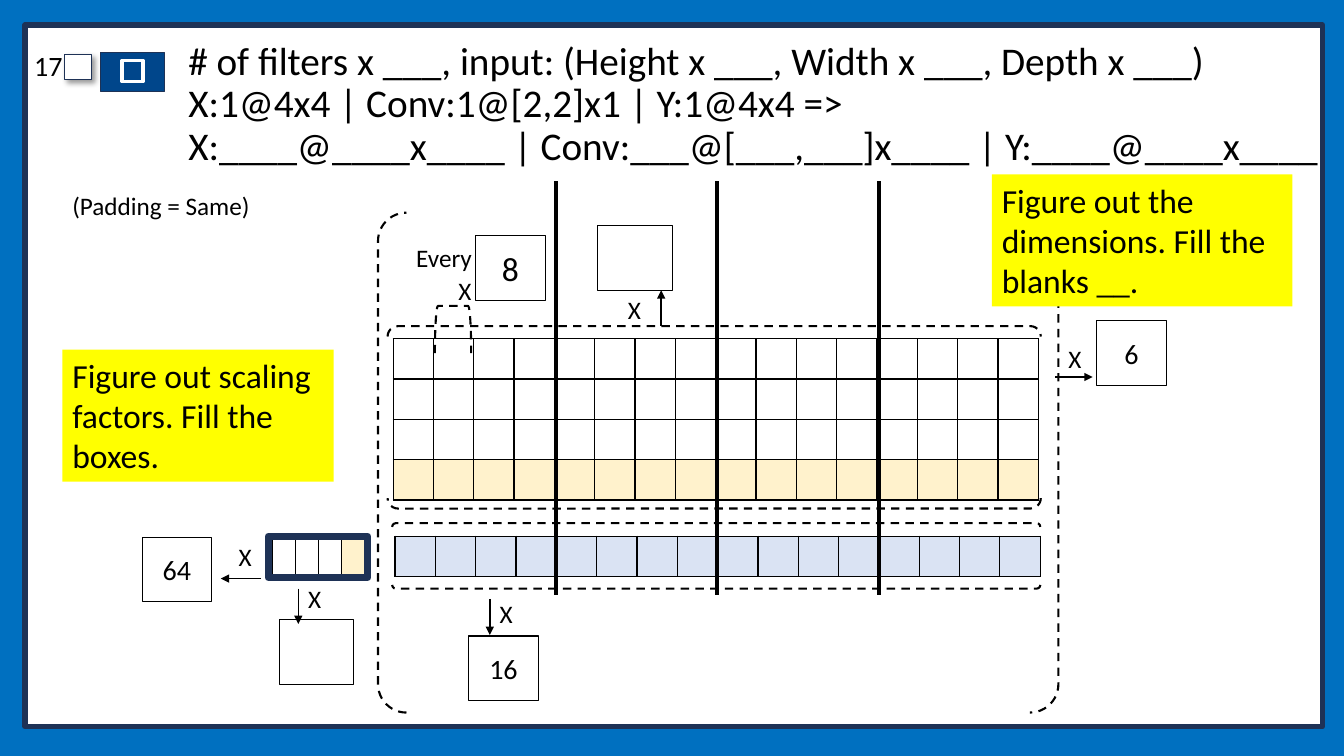
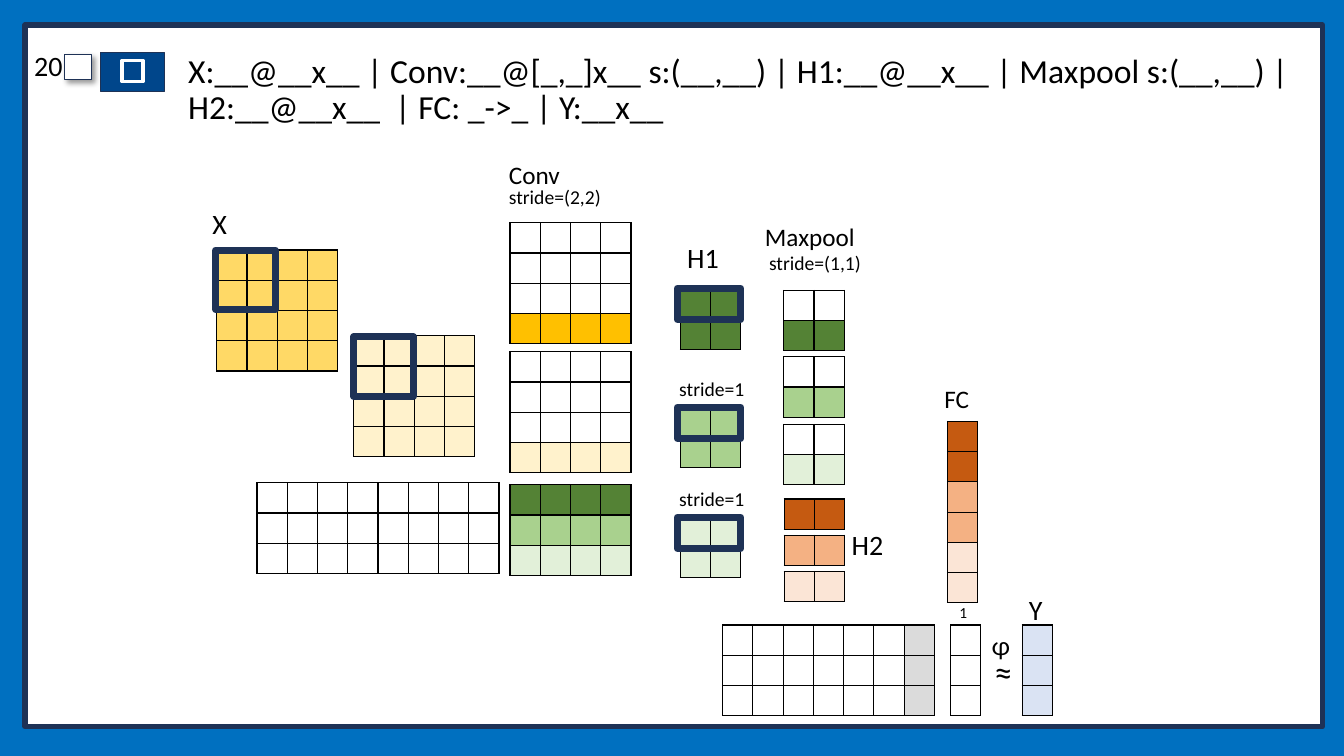
"""Builds two exercise slides on convolution dimensions."""
from lxml.etree import SubElement
from pptx import Presentation
from pptx.dml.color import RGBColor
from pptx.enum.dml import MSO_LINE
from pptx.enum.shapes import MSO_CONNECTOR, MSO_SHAPE
from pptx.enum.text import MSO_ANCHOR, PP_ALIGN
from pptx.oxml.ns import qn
from pptx.util import Pt

INK = {
    "black": "000000", "white": "FFFFFF", "blue": "0070C0", "navy": "1E3256",
    "badge": "00468B", "yellow": "FFFF00", "cream": "FFF2CC", "sand": "FFD966",
    "gold": "FFC000", "sky": "DAE3F3", "gray": "DBDBDB",
    "forest": "548235", "leaf": "A9D18E", "mint": "E2F0D9",
    "rust": "C55A11", "peach": "F4B183", "blush": "FBE5D6",
}
RECT = MSO_SHAPE.RECTANGLE
CELL = 21.6


def box(page, spot, text="", size=18, fill=None, edge=None, width=1, kind=None, font="Calibri"):
    spot = [Pt(n) for n in spot]
    if kind is None:
        shape = page.shapes.add_textbox(*spot)
    else:
        shape = page.shapes.add_shape(kind, *spot)
        shape.shadow.inherit = False
    if fill:
        shape.fill.solid()
        shape.fill.fore_color.rgb = RGBColor.from_string(INK[fill])
    else:
        shape.fill.background()
    if edge:
        shape.line.color.rgb = RGBColor.from_string(INK[edge])
        shape.line.width = Pt(width)
    else:
        shape.line.fill.background()
    frame = shape.text_frame
    frame.word_wrap = True
    frame.vertical_anchor = MSO_ANCHOR.MIDDLE if kind else MSO_ANCHOR.TOP
    if text:
        frame.text = text
        for para in frame.paragraphs:
            para.alignment = PP_ALIGN.CENTER if kind else PP_ALIGN.LEFT
            for run in para.runs:
                run.font.name = font
                run.font.size = Pt(size)
                run.font.color.rgb = RGBColor.from_string(INK["black"])
    return shape


def grid(page, x, y, rows, wide=CELL, high=CELL):
    count, span = len(rows), len(rows[0])
    table = page.shapes.add_table(
        count, span, Pt(x), Pt(y), Pt(wide * span), Pt(high * count)).table
    table.first_row = table.horz_banding = False
    for col in table.columns:
        col.width = Pt(wide)
    for row, fills in zip(table.rows, rows):
        row.height = Pt(high)
        for cell, fill in zip(row.cells, fills):
            cell.margin_left = cell.margin_right = cell.margin_top = cell.margin_bottom = 0
            SubElement(cell.text_frame.paragraphs[0]._p, qn("a:endParaRPr"), sz="600")
            props = cell._tc.get_or_add_tcPr()
            for side in ("a:lnL", "a:lnR", "a:lnT", "a:lnB"):
                line = SubElement(props, qn(side), w=str(Pt(1)))
                SubElement(SubElement(line, qn("a:solidFill")), qn("a:srgbClr"), val=INK["black"])
            if fill:
                cell.fill.solid()
                cell.fill.fore_color.rgb = RGBColor.from_string(INK[fill])
            else:
                cell.fill.background()


deck = Presentation()
deck.slide_width, deck.slide_height = Pt(960), Pt(540)
back = deck.slide_master.background.fill
back.solid()
back.fore_color.rgb = RGBColor.from_string(INK["blue"])

titles = [
    ("17", 28, 92.4, "# of filters x ___, input: (Height x ___, Width x ___, Depth x ___)\n"
     "X:1@4x4 | Conv:1@[2,2]x1 | Y:1@4x4 =>\n"
     "X:____@____x____ | Conv:___@[___,___]x____ | Y:____@____x____"),
    ("20", 24, 72, "X:__@__x__ | Conv:__@[_,_]x__ s:(__,__) | H1:__@__x__ | "
     "Maxpool s:(__,__) | H2:__@__x__  | FC: _->_ | Y:__x__"),
]
pages = []
for num, size, high, text in titles:
    page = deck.slides.add_slide(deck.slide_layouts[6])
    pages.append(page)
    box(page, (18, 18, 926.6, 501), fill="white", edge="navy", width=4, kind=RECT)
    box(page, (72, 37.4, 45.4, 28.1), fill="badge", edge="navy", kind=RECT)
    box(page, (87.1, 43.2, 15.1, 15.1), fill="badge", edge="white", width=2.5, kind=RECT)
    tick = box(page, (46, 38.9, 19.4, 18), fill="white", edge="navy", kind=RECT)
    glow = SubElement(tick._element.spPr.find(qn("a:effectLst")), qn("a:outerShdw"),
                      blurRad=str(Pt(4)), dist=str(Pt(3)), dir="2700000")
    tint = SubElement(glow, qn("a:srgbClr"), val=INK["black"])
    SubElement(tint, qn("a:alpha"), val="40000")
    mark = box(page, (0, 33.8, 51.8, 32.4), num, 20).text_frame.paragraphs[0]
    mark.alignment = PP_ALIGN.RIGHT
    mark.line_spacing = 0.9
    frame = box(page, (127.4, 28.8, 832, high) if size == 28 else (127.4, 28.8, 811.4, high),
                text, size).text_frame
    frame.vertical_anchor = MSO_ANCHOR.MIDDLE
    for para in frame.paragraphs:
        para.line_spacing = 0.9

page, net = pages

grid(page, 280.8, 241.9, [[None] * 16] * 3 + [["cream"] * 16], 28.8, 28.8)
grid(page, 282.2, 383, [["sky"] * 16], 28.8, 28.8)
grid(page, 194.4, 383.8, [[None] * 3 + ["cream"]], 16.6, 28.8)
box(page, (191.5, 383, 71.3, 29.5), edge="navy", width=5, kind=RECT)

lines = [(x, 129.6, x, 424.8, 3) for x in (397.4, 511.9, 627.8)]
lines += [
    (186.5, 413.3, 157.7, 413.3, 1),
    (213.1, 420.5, 213.1, 445.7, 1),
    (349.9, 427.7, 349.9, 453.6, 1),
    (753.8, 269.3, 780.5, 269.3, 1),
    (472.3, 232.6, 472.3, 207.4, 1),
]
for *ends, width in lines:
    link = page.shapes.add_connector(MSO_CONNECTOR.STRAIGHT, *[Pt(n) for n in ends])
    link.line.color.rgb = RGBColor.from_string(INK["black"])
    link.line.width = Pt(width)
    if width == 1:
        SubElement(link.line._get_or_add_ln(), qn("a:tailEnd"), type="triangle")
    SubElement(link._element.spPr, qn("a:effectLst"))

braces = [
    (MSO_SHAPE.DOUBLE_BRACKET, 0, (270, 151.9, 486, 357.1)),
    (MSO_SHAPE.DOUBLE_BRACKET, 90, (488.2, 165.6, 46.8, 463)),
    (MSO_SHAPE.DOUBLE_BRACKET, 90, (445, 64.8, 130.3, 466.6)),
    (MSO_SHAPE.LEFT_BRACKET, 90, (306.7, 222.5, 33.8, 25.9)),
]
for kind, turn, spot in braces:
    brace = box(page, spot, edge="black", width=1.5, kind=kind)
    brace.line.dash_style = MSO_LINE.DASH
    brace.rotation = turn
    if kind == MSO_SHAPE.DOUBLE_BRACKET:
        brace.adjustments[0] = 0.057

for x, y in [(163.4, 383), (213.1, 413.3), (756, 241.9), (349.9, 424.1),
             (441.4, 206.6), (320.4, 193)]:
    box(page, (x, y, 26.6, 28.8), "X")
box(page, (44.6, 132.5, 150, 28.8), "(Padding = Same)")
box(page, (290.2, 169.2, 60, 28.8), "Every")

blanks = [
    (199.4, 442.8, 53.3, "", 20), (427, 161.3, 53.3, "", 20),
    (339.8, 168.5, 49.7, "8", 24), (783.4, 229, 49.7, "6", 20),
    (334.8, 454.3, 49.7, "16", 20), (101.5, 383.8, 49.7, "64", 20),
]
for x, y, wide, text, size in blanks:
    box(page, (x, y, wide, 46.1), text, size, edge="black", width=0.75, kind=RECT)

box(page, (44.6, 249.8, 193.7, 94.3), "Figure out scaling factors. Fill the boxes.", 24, "yellow")
box(page, (708.5, 124.6, 214.6, 94.3), "Figure out the dimensions. Fill the blanks __.", 24, "yellow")

greens = ("forest", "leaf", "mint")
warms = ("rust", "peach", "blush")
grids = [
    (183.6, 344.9, [[None] * 8] * 3),
    (154.8, 178.6, [["sand"] * 4] * 4),
    (252.7, 239.8, [["cream"] * 4] * 4),
    (364.3, 159.1, [[None] * 4] * 3 + [["gold"] * 4]),
    (364.3, 251.3, [[None] * 4] * 3 + [["cream"] * 4]),
    (364.3, 346.3, [[tone] * 4 for tone in greens]),
    (676.8, 301, [[tone] for tone in warms for step in range(2)]),
    (516.2, 446.4, [[None] * 6 + ["gray"]] * 3),
    (679, 446.4, [[None]] * 3),
    (730.1, 446.4, [["sky"]] * 3),
]
grids += [(486, y, [[tone] * 2] * 2) for y, tone in zip((206.6, 290.9, 369.4), greens)]
grids += [(559.8, y, [[None] * 2, [tone] * 2]) for y, tone in zip((207.4, 254.9, 303.1), greens)]
grids += [(560.2, 356.4 + 25.9 * step, [[tone] * 2]) for step, tone in enumerate(warms)]
for x, y, rows in grids:
    grid(net, x, y, rows)

panes = [(154.1, 178.6, 42.5, 42.5), (252.7, 240.5, 42.5, 42.5)]
panes += [(483.8, y, 45.4, 22.3) for y in (205.9, 290.9, 369.4)]
for spot in panes:
    box(net, spot, edge="navy", width=5, kind=RECT)

labels = [
    (678.2, 427, 21, "1", 11), (356.4, 128.2, 90, "stride=(2,2)", 14),
    (356.4, 110.2, 85.7, "Conv", 18), (667.4, 270, 42.5, "FC", 18),
    (727.9, 419.8, 43.2, "Y", 20), (478.1, 344.2, 70, "stride=1", 14),
    (478.1, 265.7, 70, "stride=1", 14), (144.7, 144, 43.2, "X", 20),
    (539.3, 154.8, 85, "Maxpool", 18), (542.2, 175.7, 90, "stride=(1,1)", 14),
    (483.8, 168.5, 43.2, "H1", 20), (601.2, 373, 43.2, "H2", 20),
]
for x, y, wide, text, size in labels:
    box(net, (x, y, wide, size * 1.22 + 7.2), text, size)
box(net, (702.7, 462.2, 30, 36), "≈", 24, font="Lato")
box(net, (701.3, 446.4, 36.7, 28.8), "ɸ", 18, font="Lato")

deck.save("out.pptx")
